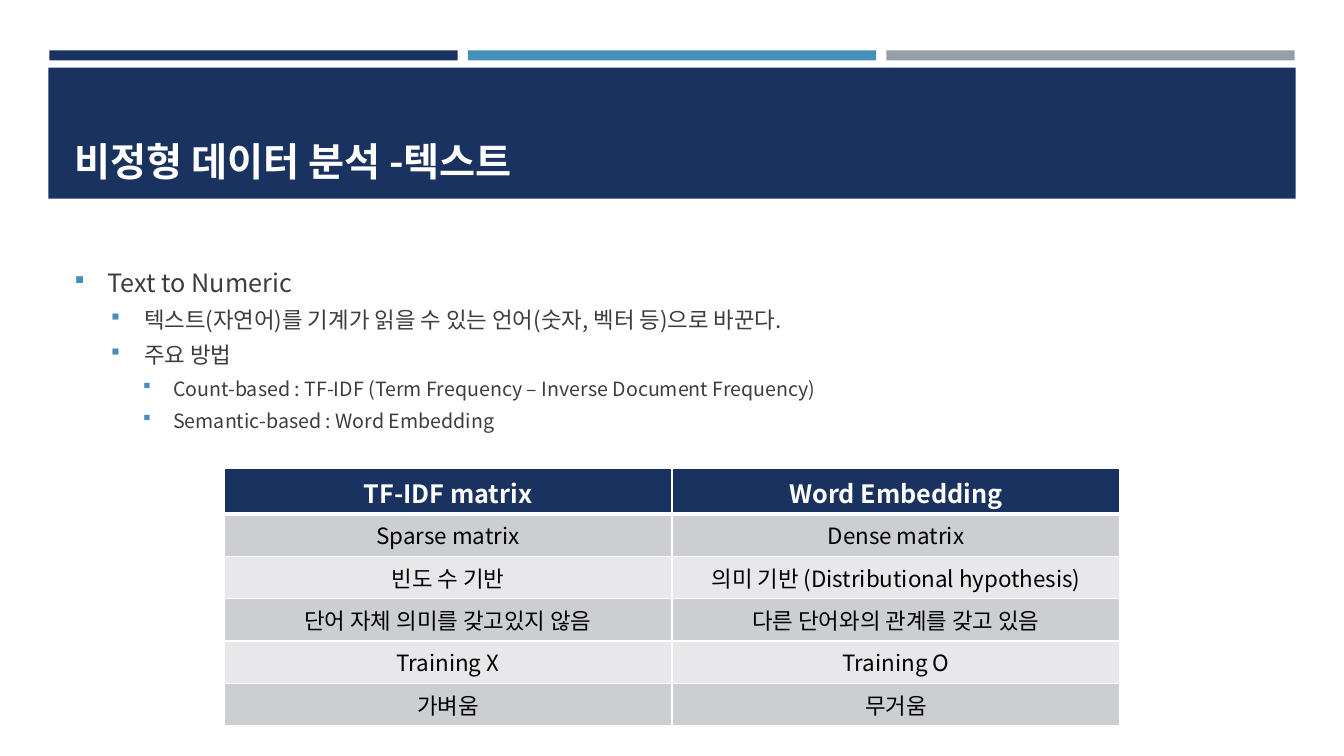
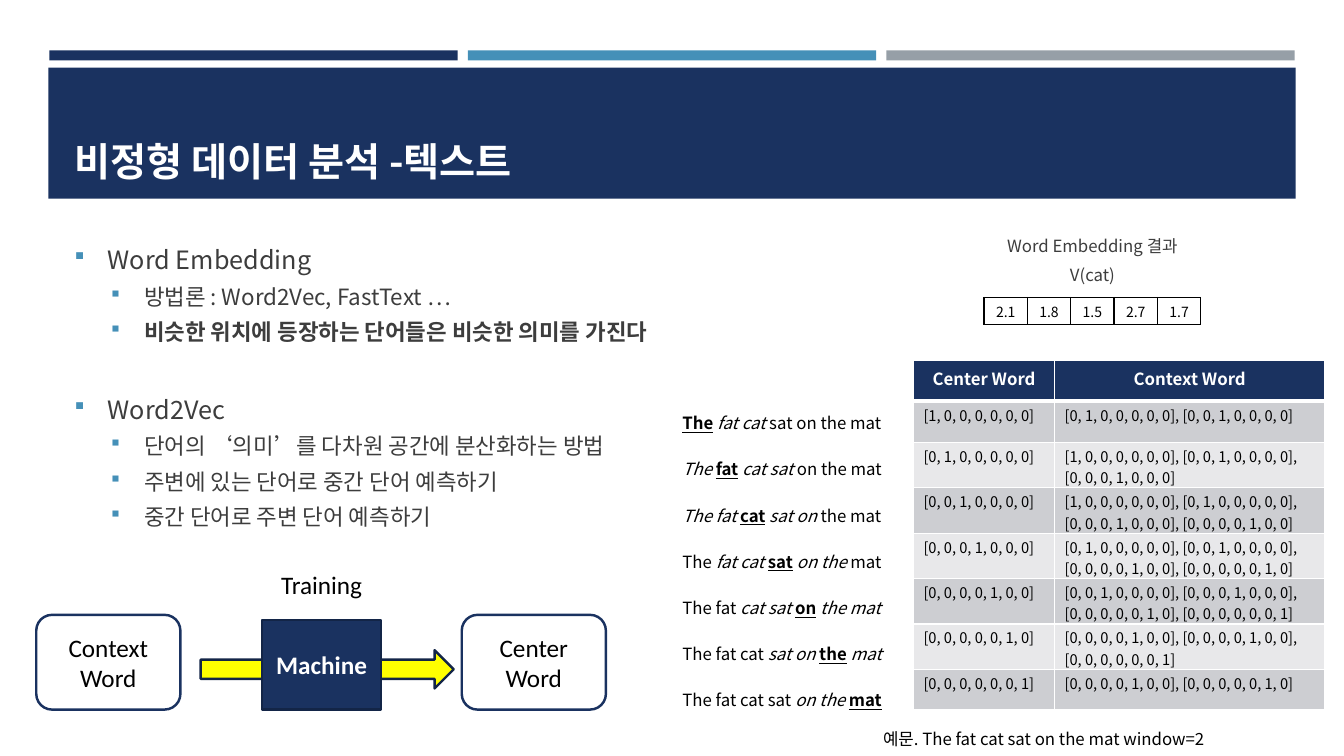
from lxml import etree
from pptx import Presentation
from pptx.dml.color import RGBColor
from pptx.enum.shapes import MSO_SHAPE
from pptx.enum.text import MSO_ANCHOR, MSO_AUTO_SIZE, PP_ALIGN
from pptx.oxml.ns import qn
from pptx.util import Inches, Pt

RECT, ROUND, ARROW = MSO_SHAPE.RECTANGLE, MSO_SHAPE.ROUNDED_RECTANGLE, MSO_SHAPE.RIGHT_ARROW
LEFT, CENTER = PP_ALIGN.LEFT, PP_ALIGN.CENTER
TOP, MIDDLE, BOTTOM = MSO_ANCHOR.TOP, MSO_ANCHOR.MIDDLE, MSO_ANCHOR.BOTTOM
TITLE_ONLY = 5
WIDTH, HEIGHT = 13.33, 7.5
KOREAN, LATIN = "Noto Sans CJK KR", "Calibri"
COLORS = {
    "navy": "1A3260", "edge": "132547", "blue": "4590B8", "gray": "969FA7",
    "text": "3D3D3D", "black": "000000", "white": "FFFFFF", "yellow": "FFFF00",
    "dark_row": "CDCED2", "light_row": "E8E8EA",
}
LEVELS = [(0.33, 0.33, 18), (0.69, 0.33, 16), (0.98, 0.3, 14)]  # indent, hanging, size
TITLE = "비정형 데이터 분석 -텍스트"

METHODS = [
    (0, "Text to Numeric", {}),
    (1, "텍스트(자연어)를 기계가 읽을 수 있는 언어(숫자, 벡터 등)으로 바꾼다.", {}),
    (1, "주요 방법", {}),
    (2, "Count-based : TF-IDF (Term Frequency – Inverse Document Frequency)", {}),
    (2, "Semantic-based : Word Embedding", {}),
]
COMPARISON = [
    ("TF-IDF matrix", "Word Embedding"),
    ("Sparse matrix", "Dense matrix"),
    ("빈도 수 기반", "의미 기반 (Distributional hypothesis)"),
    ("단어 자체 의미를 갖고있지 않음", "다른 단어와의 관계를 갖고 있음"),
    ("Training X", "Training O"),
    ("가벼움", "무거움"),
]
EMBEDDING = [
    (0, "Word Embedding", {}),
    (1, "방법론 : Word2Vec, FastText …", {}),
    (1, "비슷한 위치에 등장하는 단어들은 비슷한 의미를 가진다", {"bold": True}),
    (0, "Word2Vec", {"before": 29}),
    (1, "단어의 ‘의미’를 다차원 공간에 분산화하는 방법", {}),
    (1, "주변에 있는 단어로 중간 단어 예측하기", {}),
    (1, "중간 단어로 주변 단어 예측하기", {}),
]
SENTENCE = "The fat cat sat on the mat".split()
WINDOW = 2
CONTEXTS = [(1, 2), (0, 2, 3), (0, 1, 3, 4), (1, 2, 4, 5), (2, 3, 5, 6), (4, 4, 6), (4, 5)]
CAT_VECTOR = ["2.1", "1.8", "1.5", "2.7", "1.7"]


def rgb(name):
    return RGBColor.from_string(COLORS[name])


def inches(box):
    return [Inches(length) for length in box]


def add_span(para, text, size, color="black", font=KOREAN, **styles):
    span = para.add_run()
    span.text = text
    for name, value in {"size": Pt(size), "name": font, **styles}.items():
        setattr(span.font, name, value)
    span.font.color.rgb = rgb(color)
    span.font._element.find(qn("a:latin")).addnext(
        etree.Element(qn("a:ea"), typeface=font))


def add_paras(frame, count, align=LEFT, **formats):
    """Return count paragraphs of the frame, all in one format."""
    paras = [frame.paragraphs[0]] + [frame.add_paragraph() for _ in range(count - 1)]
    for para in paras:
        for name, value in {"alignment": align, **formats}.items():
            setattr(para, name, value)
    return paras


def add_frame(page, box, anchor=TOP):
    frame = page.shapes.add_textbox(*inches(box)).text_frame
    frame.word_wrap = True
    frame.vertical_anchor = anchor
    return frame


def add_block(page, kind, box, fill, line=None):
    block = page.shapes.add_shape(kind, *inches(box))
    block.shadow.inherit = False
    block.fill.solid()
    block.fill.fore_color.rgb = rgb(fill)
    if line:
        block.line.color.rgb = rgb(line)
        block.line.width = Pt(1.75)
    else:
        block.line.fill.background()
    return block


def new_page(deck):
    """Add a slide with the three strips, the title band and the title."""
    page = deck.slides.add_slide(deck.slide_layouts[TITLE_ONLY])
    strip, gap, margin = 4.05, 0.1, 0.49
    for index, color in enumerate(["navy", "blue", "gray"]):
        add_block(page, RECT, (margin + index * (strip + gap), 0.5, strip, 0.1), color)
    add_block(page, RECT, (0.48, 0.67, 12.37, 1.3), "navy")
    title = page.shapes.title
    title.left, title.top, title.width, title.height = inches((0.64, 0.77, 12.06, 1.11))
    frame = title.text_frame
    frame.auto_size = MSO_AUTO_SIZE.NONE
    frame.vertical_anchor = BOTTOM
    add_span(add_paras(frame, 1)[0], TITLE, 28, "white", bold=True)
    # The title is moved in front of the band.
    page.shapes._spTree.append(title._element)
    return page


def set_bullet(para, indent, hanging):
    props = para._p.get_or_add_pPr()
    props.set("marL", str(Inches(indent)))
    props.set("indent", str(-Inches(hanging)))
    color = etree.SubElement(props, qn("a:buClr"))
    etree.SubElement(color, qn("a:srgbClr"), val=COLORS["blue"])
    etree.SubElement(props, qn("a:buSzPct"), val="92000")
    etree.SubElement(props, qn("a:buFont"), typeface="Wingdings", charset="2")
    etree.SubElement(props, qn("a:buChar"), char="§")


def bullet_list(page, box, items):
    frame = add_frame(page, box, MIDDLE)
    for para, (level, text, styles) in zip(add_paras(frame, len(items)), items):
        indent, hanging, size = LEVELS[level]
        set_bullet(para, indent, hanging)
        para.level = level
        para.space_before = Pt(styles.get("before", 0))
        para.space_after = Pt(6)
        add_span(para, text, size, "text", bold=styles.get("bold", False))


def set_borders(cell, color, top=1, bottom=1):
    props = cell._tc.get_or_add_tcPr()
    edges = [("a:lnL", 1), ("a:lnR", 1), ("a:lnT", top), ("a:lnB", bottom)]
    for index, (tag, width) in enumerate(edges):
        line = etree.Element(qn(tag), w=str(Pt(width)))
        fill = etree.SubElement(line, qn("a:solidFill"))
        etree.SubElement(fill, qn("a:srgbClr"), val=COLORS[color])
        props.insert(index, line)


def add_grid(page, left, top, columns, heights):
    box = (left, top, sum(columns), sum(heights))
    table = page.shapes.add_table(len(heights), len(columns), *inches(box)).table
    table.first_row = table.horz_banding = False
    for column, width in zip(table.columns, columns):
        column.width = Inches(width)
    for row, height in zip(table.rows, heights):
        row.height = Inches(height)
    return table


def fill_cell(cell, text, size, align, margins, **styles):
    cell.margin_top, cell.margin_bottom = inches(margins)
    add_span(add_paras(cell.text_frame, 1, align)[0], text, size, **styles)


def banded_table(page, left, top, columns, heights, rows, sizes, align, margins):
    """Navy header over rows in two grays; sizes are header and body."""
    table = add_grid(page, left, top, columns, heights)
    for row, texts in enumerate(rows):
        for column, text in enumerate(texts):
            cell = table.cell(row, column)
            cell.fill.solid()
            if row == 0:
                fill_cell(cell, text, sizes[0], CENTER, (0.05, 0.05), color="white", bold=True)
                cell.fill.fore_color.rgb = rgb("navy")
            else:
                fill_cell(cell, text, sizes[1], align, margins)
                cell.fill.fore_color.rgb = rgb("dark_row" if row % 2 else "light_row")
            set_borders(cell, "white", 3 if row == 1 else 1, 3 if row == 0 else 1)


def one_hot(position):
    return str([int(index == position) for index in range(len(SENTENCE))])


def window_sentences(page, box):
    """Repeat the sentence with each word in turn as the centre of its window."""
    paras = add_paras(add_frame(page, box), len(SENTENCE), line_spacing=Pt(33))
    for center, para in enumerate(paras):
        start, end = max(0, center - WINDOW), center + WINDOW + 1
        before = [(SENTENCE[:start], {}), (SENTENCE[start:center], {"italic": True})]
        after = [(SENTENCE[center + 1:end], {"italic": True}), (SENTENCE[end:], {})]
        for words, styles in before:
            if words:
                add_span(para, " ".join(words) + " ", 12, **styles)
        add_span(para, SENTENCE[center], 12, bold=True, underline=True)
        for words, styles in after:
            if words:
                add_span(para, " " + " ".join(words), 12, **styles)


def training_flow(page, left, top):
    """Context words pass through the machine to the centre word."""
    def label(frame, lines, color="black", **styles):
        for para, line in zip(add_paras(frame, len(lines), CENTER), lines):
            add_span(para, line, 18, color, LATIN, **styles)

    add_block(page, ARROW, (left + 1.63, top + 0.85, 2.51, 0.38), "yellow", "edge")
    machine = add_block(page, RECT, (left + 2.24, top + 0.55, 1.18, 0.89), "navy", "edge")
    label(machine.text_frame, ["Machine"], "white", bold=True)
    for offset, lines in [(0, ["Context", "Word"]), (4.22, ["Center Word"])]:
        block = add_block(page, ROUND, (left + offset, top + 0.5, 1.43, 0.94), "white", "navy")
        label(block.text_frame, lines)
    label(add_frame(page, (left + 2.24, top, 1.18, 0.4)), ["Training"])


def cat_vector(page, left, top):
    column = 0.43
    width = column * len(CAT_VECTOR)
    frame = add_frame(page, (left, top, width, 0.63), MIDDLE)
    captions = ["Word Embedding 결과", "V(cat)"]
    for para, text in zip(add_paras(frame, 2, CENTER, space_after=Pt(6)), captions):
        add_span(para, text, 12, "text")
    table = add_grid(page, left, top + 0.68, [column] * len(CAT_VECTOR), [0.27])
    for cell, value in zip(table.rows[0].cells, CAT_VECTOR):
        cell.fill.background()
        fill_cell(cell, value, 10, CENTER, (0.04, 0.02))
        set_borders(cell, "black")


def comparison_page(deck):
    page = new_page(deck)
    bullet_list(page, (0.64, 2.4, 12.06, 2.14), METHODS)
    banded_table(page, WIDTH / 6, 4.65, [WIDTH / 3] * 2, [0.45] + [0.42] * 5,
                 COMPARISON, (18, 16), CENTER, (0.05, 0.05))


def embedding_page(deck):
    page = new_page(deck)
    bullet_list(page, (0.64, 2.14, 7.48, 3.4), EMBEDDING)
    window_sentences(page, (6.67, 3.79, 2.35, 3.26))
    rows = [("Center Word", "Context Word")]
    for center, context in enumerate(CONTEXTS):
        rows.append((one_hot(center), ", ".join(one_hot(word) for word in context)))
    banded_table(page, 9.06, 3.58, [1.4, 2.68], [0.4, 0.41] + [0.45] * 5 + [0.4],
                 rows, (12, 10.5), LEFT, (0.03, 0))
    caption = add_paras(add_frame(page, (8.66, 6.92, 3.6, 0.48)), 1, line_spacing=Pt(33))[0]
    add_span(caption, "예문. The fat cat sat on the mat window=2", 12)
    training_flow(page, 0.36, 5.6)
    cat_vector(page, 9.76, 2.27)


def main():
    deck = Presentation()
    deck.slide_width, deck.slide_height = inches((WIDTH, HEIGHT))
    comparison_page(deck)
    embedding_page(deck)
    deck.save("out.pptx")


if __name__ == "__main__":
    main()
